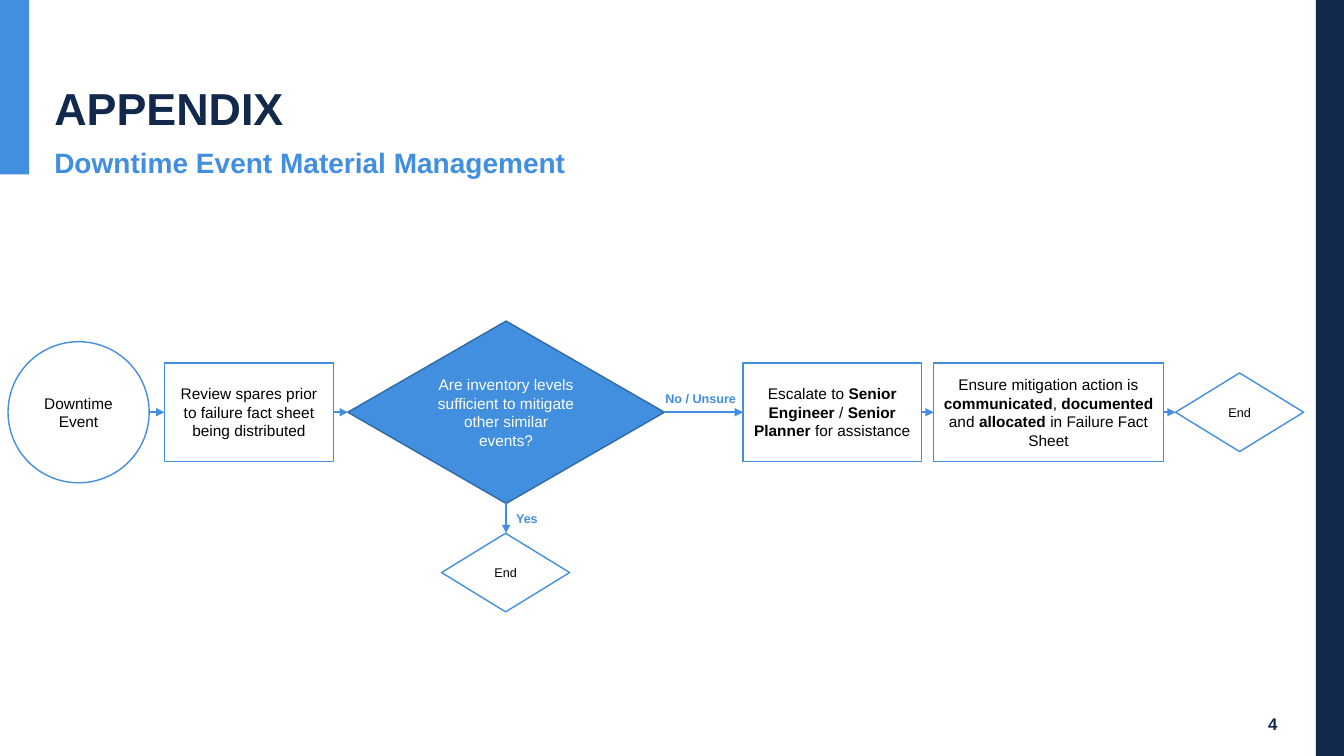
"""Build the downtime event material management flowchart slide."""
import dataclasses

import pptx
import pptx.dml.color
import pptx.enum.shapes
import pptx.enum.text
import pptx.oxml
import pptx.oxml.ns
import pptx.util
from pptx.util import Inches

SHAPE = pptx.enum.shapes.MSO_SHAPE
ALIGN = pptx.enum.text.PP_ALIGN
ANCHOR = pptx.enum.text.MSO_ANCHOR


@dataclasses.dataclass(frozen=True)
class Theme:
    """Colours, font and type sizes."""
    navy: str = "13294B"
    blue: str = "418FDE"
    outline: str = "306AA4"
    white: str = "FFFFFF"
    black: str = "000000"
    font: str = "Arial"
    title: int = 32
    subtitle: int = 20
    number: int = 12
    body: int = 11
    small: int = 9


class FlowSlide:
    """Draws flowchart elements on one slide in one theme."""

    def __init__(self, slide, theme):
        """Keep the slide and its theme."""
        self.slide = slide
        self.theme = theme

    def fill_text(self, frame, text, size, color, bold=False, align=ALIGN.LEFT,
                  anchor=ANCHOR.TOP, spacing=None):
        """Fill a text frame, with **marked** words in bold."""
        frame.word_wrap = True
        frame.vertical_anchor = anchor
        paragraph = frame.paragraphs[0]
        paragraph.alignment = align
        if spacing:
            paragraph.line_spacing = pptx.util.Pt(spacing)
        for index, part in enumerate(text.split("**")):
            run = paragraph.add_run()
            run.text = part
            run.font.name = self.theme.font
            run.font.size = pptx.util.Pt(size)
            run.font.bold = bold or index % 2 == 1
            run.font.color.rgb = pptx.dml.color.RGBColor.from_string(color)

    def text(self, left, top, width, height, text, size, color, **style):
        """Add a bold text box."""
        box = self.slide.shapes.add_textbox(
            Inches(left), Inches(top), Inches(width), Inches(height))
        self.fill_text(box.text_frame, text, size, color, bold=True, **style)

    def block(self, kind, left, top, width, height, fill, line=None):
        """Add a filled shape with an optional outline."""
        block = self.slide.shapes.add_shape(
            kind, Inches(left), Inches(top), Inches(width), Inches(height))
        block.shadow.inherit = False
        block.fill.solid()
        block.fill.fore_color.rgb = pptx.dml.color.RGBColor.from_string(fill)
        if line:
            block.line.color.rgb = pptx.dml.color.RGBColor.from_string(line)
            block.line.width = pptx.util.Pt(1)
        else:
            block.line.fill.background()
        return block

    def node(self, kind, left, middle, width, height, text, size=None,
             filled=False):
        """Add a flowchart step centred on a height."""
        theme = self.theme
        fill, line, color = ((theme.blue, theme.outline, theme.white) if filled
                             else (theme.white, theme.blue, theme.black))
        node = self.block(kind, left, middle - height / 2, width, height, fill, line)
        self.fill_text(node.text_frame, text, size or theme.body, color,
                       align=ALIGN.CENTER, anchor=ANCHOR.MIDDLE)
        return node

    def arrow(self, x1, y1, x2, y2):
        """Add a straight arrow between two points."""
        arrow = self.slide.shapes.add_connector(
            pptx.enum.shapes.MSO_CONNECTOR.STRAIGHT, x1, y1, x2, y2)
        arrow.line.color.rgb = pptx.dml.color.RGBColor.from_string(self.theme.blue)
        arrow.line.width = pptx.util.Pt(1.5)
        properties = arrow._element.spPr
        head = pptx.oxml.parse_xml(
            f'<a:tailEnd {pptx.oxml.ns.nsdecls("a")} type="triangle"/>')
        properties.find(pptx.oxml.ns.qn("a:ln")).append(head)
        properties.append(pptx.oxml.parse_xml(
            f'<a:effectLst {pptx.oxml.ns.nsdecls("a")}/>'))

    def arrow_right(self, source, target):
        """Join the right side of one step to the left side of the next."""
        middle = source.top + source.height // 2
        self.arrow(source.left + source.width, middle, target.left, middle)

    def arrow_down(self, source, target):
        """Join the bottom of one step to the top of the next."""
        center = source.left + source.width // 2
        self.arrow(center, source.top + source.height, center, target.top)


def main():
    """Lay out the slide and save it."""
    deck = pptx.Presentation()
    deck.slide_width, deck.slide_height = Inches(13.33), Inches(7.5)
    theme = Theme()
    page = FlowSlide(deck.slides.add_slide(deck.slide_layouts[6]), theme)

    page.text(12.26, 6.97, 0.73, 0.42, "4", theme.number, theme.navy,
              align=ALIGN.CENTER, anchor=ANCHOR.MIDDLE)
    page.block(SHAPE.RECTANGLE, 13.05, 0, 0.28, 7.5, theme.navy)
    page.block(SHAPE.RECTANGLE, 0, 0, 0.29, 1.73, theme.blue)
    page.text(0.44, 0.24, 9.86, 1.14, "APPENDIX", theme.title, theme.navy,
              anchor=ANCHOR.BOTTOM, spacing=36)
    page.text(0.44, 1.45, 9.86, 0.33, "Downtime Event Material Management",
              theme.subtitle, theme.blue, anchor=ANCHOR.MIDDLE, spacing=24)

    axis = 4.09
    event = page.node(SHAPE.OVAL, 0.08, axis, 1.4, 1.4, "Downtime Event")
    review = page.node(
        SHAPE.RECTANGLE, 1.63, axis, 1.68, 0.98,
        "Review spares prior to failure fact sheet being distributed")
    decision = page.node(
        SHAPE.DIAMOND, 3.45, axis, 3.14, 1.81,
        "Are inventory levels sufficient to mitigate other similar events?",
        filled=True)
    escalate = page.node(
        SHAPE.RECTANGLE, 7.37, axis, 1.77, 0.98,
        "Escalate to **Senior Engineer** / **Senior Planner** for assistance")
    mitigate = page.node(
        SHAPE.RECTANGLE, 9.26, axis, 2.28, 0.98,
        "Ensure mitigation action is **communicated**, **documented** and "
        "**allocated** in Failure Fact Sheet")
    end_escalated = page.node(SHAPE.DIAMOND, 11.66, axis, 1.27, 0.78, "End", theme.small)
    end_sufficient = page.node(SHAPE.DIAMOND, 4.38, 5.68, 1.27, 0.78, "End", theme.small)

    steps = [event, review, decision, escalate, mitigate, end_escalated]
    for source, target in zip(steps, steps[1:]):
        page.arrow_right(source, target)
    page.arrow_down(decision, end_sufficient)
    page.text(6.5, 3.83, 0.96, 0.25, "No / Unsure", theme.small, theme.blue)
    page.text(5.02, 5.02, 0.46, 0.25, "Yes", theme.small, theme.blue)

    deck.save("out.pptx")


if __name__ == "__main__":
    main()
